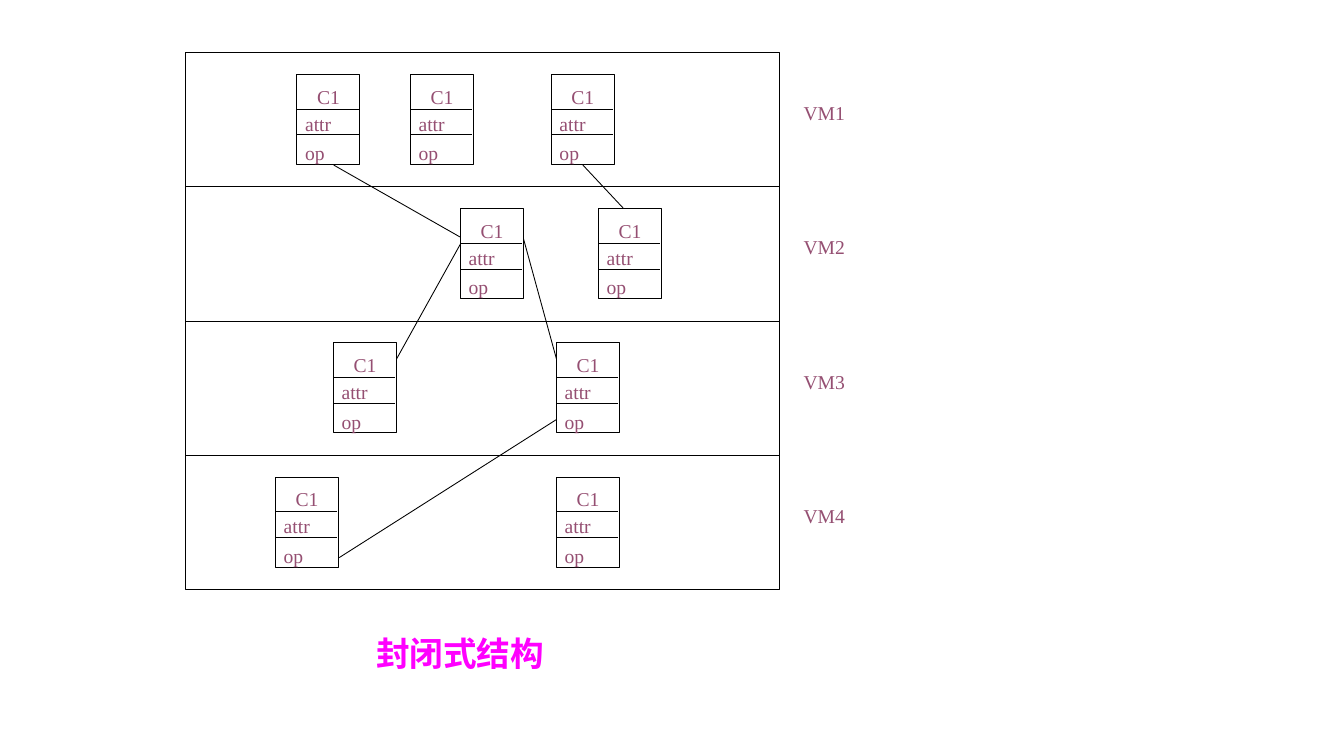
"""Build the closed layered structure slide: four VM layers of linked classes."""
import pptx
import pptx.dml.color
import pptx.enum.shapes
import pptx.enum.text
import pptx.oxml
import pptx.oxml.ns
import pptx.util

Cm = pptx.util.Cm
Pt = pptx.util.Pt
RGB = pptx.dml.color.RGBColor.from_string
ALIGN = pptx.enum.text.PP_ALIGN
RECT = pptx.enum.shapes.MSO_SHAPE.RECTANGLE
STRAIGHT = pptx.enum.shapes.MSO_CONNECTOR.STRAIGHT

COLORS = {"line": "000000", "box": "FFFFFF", "label": "954F72", "title": "FF00FF"}
LINE_WIDTH = Pt(0.63)

prs = pptx.Presentation()
prs.slide_width, prs.slide_height = Cm(33.87), Cm(19.05)
s = prs.slides.add_slide(prs.slide_layouts[6])


def add_text(text, x, y, w, h=0.58, size=14, font="Times New Roman", color="label",
             bold=False, align=ALIGN.LEFT, inset=(0, 0)):
    sp = s.shapes.add_textbox(Cm(x), Cm(y), Cm(w), Cm(h))
    tf = sp.text_frame
    tf.word_wrap = False
    tf.auto_size = pptx.enum.text.MSO_AUTO_SIZE.SHAPE_TO_FIT_TEXT
    tf.margin_left = tf.margin_right = Cm(inset[0])
    tf.margin_top = tf.margin_bottom = Cm(inset[1])
    p = tf.paragraphs[0]
    p.alignment = align
    r = p.add_run()
    r.text = text
    r.font.size, r.font.name, r.font.bold = Pt(size), font, bold
    r.font.color.rgb = RGB(COLORS[color])
    ea = pptx.oxml.parse_xml(f'<a:ea {pptx.oxml.ns.nsdecls("a")} typeface="{font}"/>')
    r.font._element.append(ea)


def add_line(x1, y1, x2, y2):
    c = s.shapes.add_connector(STRAIGHT, Cm(x1), Cm(y1), Cm(x2), Cm(y2))
    c.line.color.rgb = RGB(COLORS["line"])
    c.line.width = LINE_WIDTH
    c._element.spPr.append(pptx.oxml.parse_xml(f'<a:effectLst {pptx.oxml.ns.nsdecls("a")}/>'))


LAYER_LEFT, LAYER_TOP, LAYER_W, LAYER_H = 4.67, 1.33, 14.98, 3.38
BOX_W, BOX_H, BOX_OFFSET = 1.59, 2.27, 0.55
LAYERS = {
    "VM1": [7.48, 10.34, 13.89],
    "VM2": [11.6, 15.08],
    "VM3": [8.4, 14.02],
    "VM4": [6.94, 14.02],
}
LINKS = [
    (13.18, 5.97, 14.03, 9.07),
    (14.69, 4.16, 15.72, 5.26),
    (8.41, 4.16, 11.59, 5.97),
    (11.63, 6.1, 9.98, 9.07),
    (14.12, 10.51, 8.55, 14.05),
]

rects = []
boxes = []
for i, (name, lefts) in enumerate(LAYERS.items()):
    top = LAYER_TOP + i * LAYER_H
    rects.append((LAYER_LEFT, top, LAYER_W, LAYER_H))
    boxes += [(left, top + BOX_OFFSET, BOX_W, BOX_H) for left in lefts]
    add_text(name, 20.25, top + 1.22, 1.15)

for i, (x, y, w, h) in enumerate(rects + boxes):
    if i == len(rects):
        for link in LINKS:
            add_line(*link)
    sp = s.shapes.add_shape(RECT, Cm(x), Cm(y), Cm(w), Cm(h))
    sp.shadow.inherit = False
    sp.line.color.rgb = RGB(COLORS["line"])
    sp.line.width = LINE_WIDTH
    if i < len(rects):
        sp.fill.background()
    else:
        sp.fill.solid()
        sp.fill.fore_color.rgb = RGB(COLORS["box"])

for x, y, w, h in boxes:
    for divider in (0.87, 1.52):
        add_line(x, y + divider, x + 1.56, y + divider)
    add_text("C1", x + 0.5, y + 0.26, 0.6, align=ALIGN.CENTER)
    add_text("attr", x + 0.21, y + 0.94, 0.68)
    add_text("op", x + 0.21, y + 1.68, 0.53)

add_text("封闭式结构", 9.23, 15.82, 4.8, 1.27, size=24, font="DejaVu Sans",
         color="title", bold=True, inset=(0.25, 0.13))

prs.save("out.pptx")
